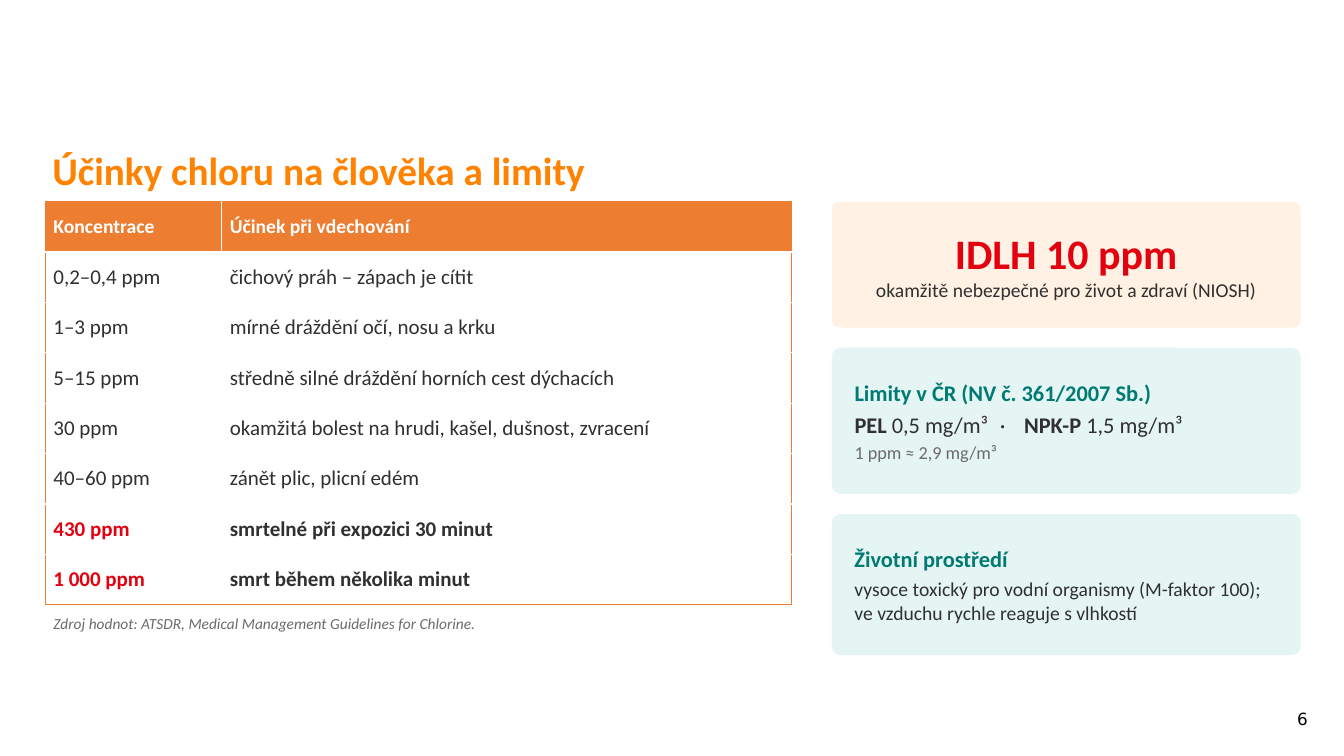
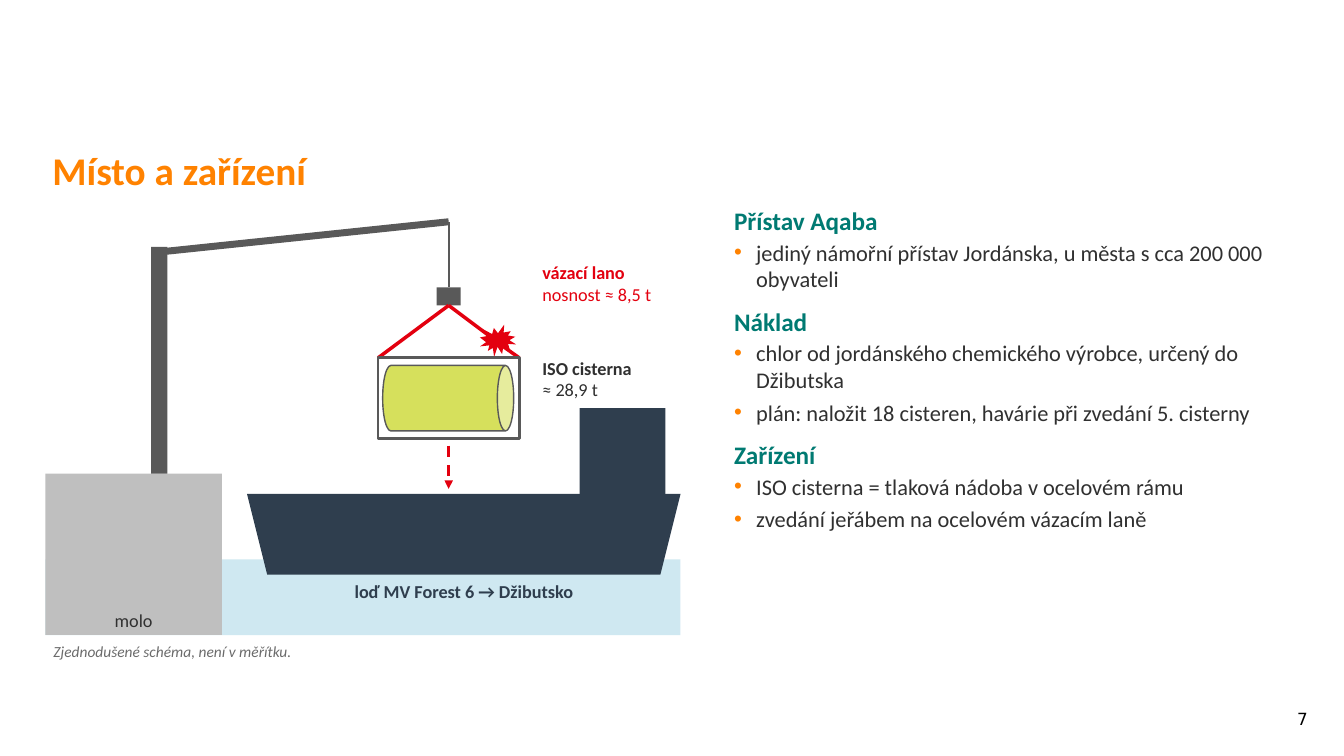
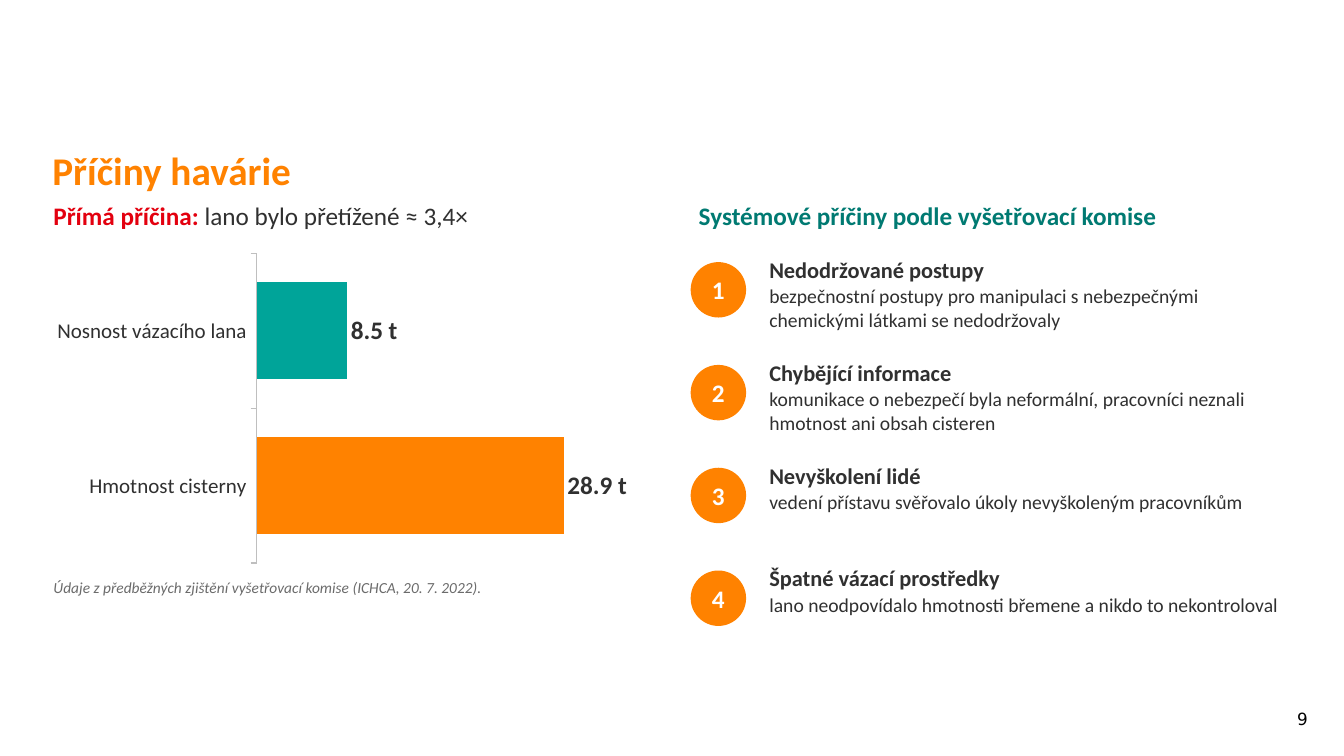
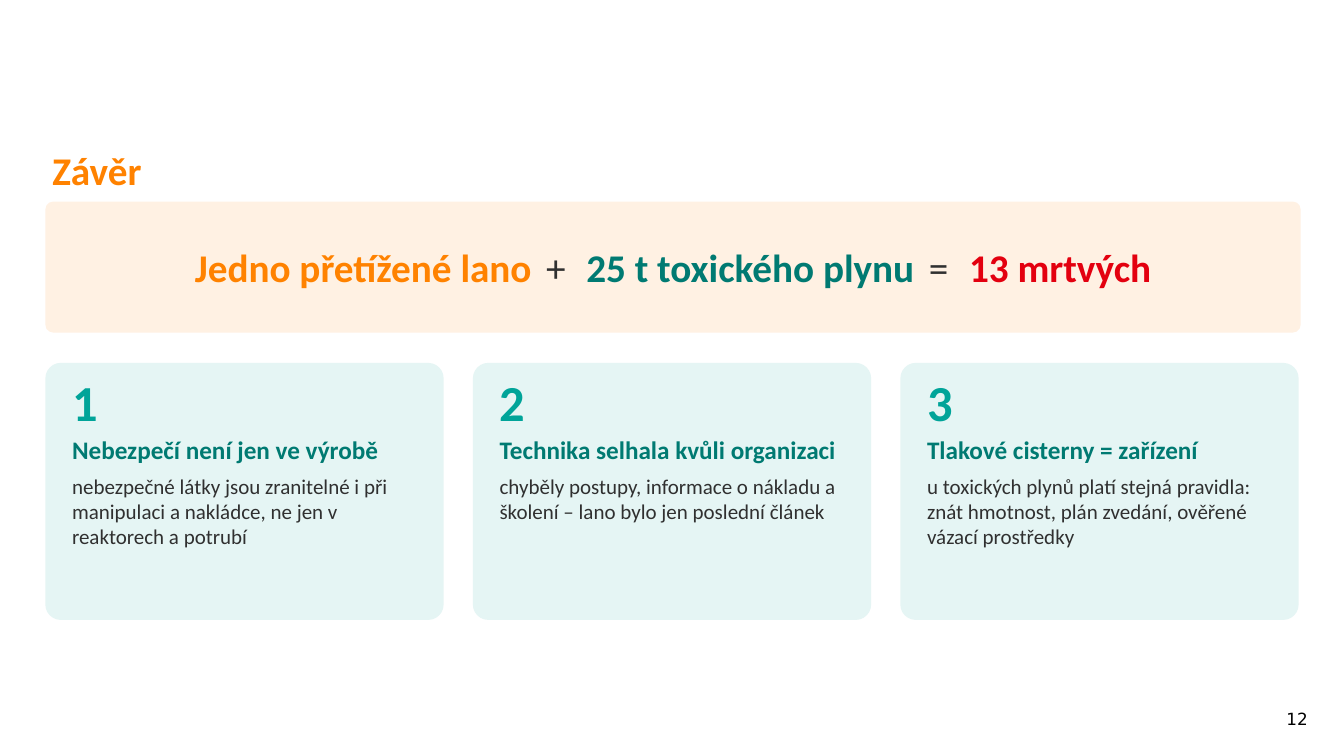
"""Build four slides on the chlorine accident in the port of Aqaba."""
from dataclasses import dataclass
from typing import NamedTuple, Optional, Sequence

from lxml import etree
from pptx import Presentation, util as u
from pptx.chart import data
from pptx.dml.color import RGBColor
from pptx.enum import chart as charts, dml, shapes, text
from pptx.oxml.ns import qn

ORANGE = RGBColor(0xFF, 0x82, 0x00)
HEADER = RGBColor(0xED, 0x7D, 0x31)
RED = RGBColor(0xE3, 0x00, 0x0F)
TEAL = RGBColor(0x00, 0x7A, 0x72)
BRIGHT_TEAL = RGBColor(0x00, 0xA4, 0x99)
INK = RGBColor(0x30, 0x30, 0x30)
MUTED = RGBColor(0x6B, 0x6B, 0x6B)
STEEL = RGBColor(0x59, 0x59, 0x59)
SILVER = RGBColor(0xBF, 0xBF, 0xBF)
NAVY = RGBColor(0x2F, 0x3E, 0x4E)
WATER = RGBColor(0xCF, 0xE8, 0xF1)
GAS = RGBColor(0xD6, 0xE0, 0x5C)
PEACH = RGBColor(0xFF, 0xF1, 0xE3)
MINT = RGBColor(0xE5, 0xF5, 0xF4)
WHITE = RGBColor(0xFF, 0xFF, 0xFF)
BLACK = RGBColor(0x00, 0x00, 0x00)

FONT = "Calibri"
LEFT = 0.45
CARD_RADIUS = 0.06
Shape = shapes.MSO_SHAPE
Align = text.PP_ALIGN
Anchor = text.MSO_ANCHOR


class Area(NamedTuple):
    """Place and size in inches."""

    left: float
    top: float
    width: float
    height: float

    def lengths(self) -> list:
        """Return the four values as lengths."""
        return [u.Inches(value) for value in self]


@dataclass(frozen=True)
class Span:
    """A run that may differ from its paragraph."""

    text: str
    color: Optional[RGBColor] = None
    bold: Optional[bool] = None
    spacing: int = 0


@dataclass(frozen=True)
class Para:
    """A paragraph with its format."""

    content: str | Sequence[Span]
    size: float
    color: RGBColor = INK
    bold: bool = False
    italic: bool = False
    after: float = 0
    align: Align = Align.LEFT
    bullet: bool = False
    font: str = FONT
    line_spacing: float = 1.0


class Insets(NamedTuple):
    """Inner margins in inches."""

    side: float = 0.08
    edge: float = 0.04


class Cause(NamedTuple):
    """A numbered cause."""

    heading: str
    detail: str


def write(frame, paras: Sequence[Para]) -> None:
    """Write formatted paragraphs into a text frame."""
    for index, para in enumerate(paras):
        target = frame.add_paragraph() if index else frame.paragraphs[0]
        target.alignment = para.align
        target.line_spacing = para.line_spacing
        target.space_before = u.Pt(0)
        target.space_after = u.Pt(para.after)
        properties = target._p.get_or_add_pPr()
        indent = u.Inches(0.22) if para.bullet else 0
        properties.set("marL", str(indent))
        properties.set("indent", str(-indent))
        if para.bullet:
            color = etree.SubElement(properties, qn("a:buClr"))
            etree.SubElement(color, qn("a:srgbClr"), val=str(ORANGE))
            etree.SubElement(properties, qn("a:buChar"), char="•")
        else:
            etree.SubElement(properties, qn("a:buNone"))
        font = target.font
        font.name, font.size = para.font, u.Pt(para.size)
        font.bold, font.italic = para.bold, para.italic
        font.color.rgb = para.color
        spans = [Span(para.content)] if isinstance(para.content, str) else para.content
        for span in spans:
            run = target.add_run()
            run.text = span.text
            if span.color is not None:
                run.font.color.rgb = span.color
            if span.bold is not None:
                run.font.bold = span.bold
            if span.spacing:
                run._r.get_or_add_rPr().set("spc", str(span.spacing))


def set_frame(frame, anchor: Anchor, insets: Insets) -> None:
    """Set wrapping, anchor and margins of a text frame."""
    frame.word_wrap = True
    frame.vertical_anchor = anchor
    frame.margin_left = frame.margin_right = u.Inches(insets.side)
    frame.margin_top = frame.margin_bottom = u.Inches(insets.edge)


def add_text(page, area: Area, paras: Sequence[Para], insets: Insets = Insets()) -> None:
    """Add a text box."""
    frame = page.shapes.add_textbox(*area.lengths()).text_frame
    set_frame(frame, Anchor.TOP, insets)
    write(frame, paras)


def add_note(page, area: Area, content: str) -> None:
    """Add a small source note."""
    add_text(page, area, [Para(content, 11, MUTED, italic=True, after=4)])


def add_box(page, kind: Shape, area: Area, fill: Optional[RGBColor] = None,
            paras: Sequence[Para] = (), anchor: Anchor = Anchor.MIDDLE,
            insets: Insets = Insets(), outline: Optional[RGBColor] = None,
            weight: float = 1, rotation: float = 0):
    """Add a preset shape, with text if given."""
    box = page.shapes.add_shape(kind, *area.lengths())
    box.shadow.inherit = False
    box.rotation = rotation
    if fill is None:
        box.fill.background()
    else:
        box.fill.solid()
        box.fill.fore_color.rgb = fill
    if outline is None:
        box.line.fill.background()
    else:
        box.line.color.rgb = outline
        box.line.width = u.Pt(weight)
    if kind == Shape.ROUNDED_RECTANGLE:
        box.adjustments[0] = CARD_RADIUS
    if paras:
        set_frame(box.text_frame, anchor, insets)
        write(box.text_frame, paras)
    return box


def add_line(page, start: tuple[float, float], end: tuple[float, float],
             color: RGBColor, weight: float, arrow: bool = False):
    """Add a straight line, or a dashed arrow."""
    points = [u.Inches(value) for value in (*start, *end)]
    line = page.shapes.add_connector(shapes.MSO_CONNECTOR.STRAIGHT, *points)
    line.line.color.rgb = color
    line.line.width = u.Pt(weight)
    if arrow:
        line.line.dash_style = dml.MSO_LINE.DASH
        etree.SubElement(line.line._get_or_add_ln(), qn("a:tailEnd"), type="triangle")
    etree.SubElement(line._element.spPr, qn("a:effectLst"))
    return line


def add_page(deck, number: int, title: str, layout: int = 5):
    """Add a slide with its title and page number."""
    page = deck.slides.add_slide(deck.slide_layouts[layout])
    holder = page.shapes.title
    holder.left, holder.top, holder.width, holder.height = Area(0.42, 1.32, 12.47, 0.65).lengths()
    set_frame(holder.text_frame, Anchor.BOTTOM, Insets(0.1, 0.05))
    holder.text_frame.auto_size = text.MSO_AUTO_SIZE.NONE
    write(holder.text_frame, [Para(title, 28, ORANGE, bold=True, line_spacing=0.9)])
    add_text(page, Area(10.9, 6.98, 2.17, 0.52),
             [Para(str(number), 12, BLACK, align=Align.RIGHT, font="DejaVu Sans")],
             Insets(0.1, 0.05))
    return page


def add_border(cell, sides: str) -> None:
    """Draw thin borders on the named sides of a cell."""
    properties = cell._tc.get_or_add_tcPr()
    for side in sides:
        line = etree.SubElement(properties, qn(f"a:ln{side}"), w=str(u.Pt(0.5)))
        fill = etree.SubElement(line, qn("a:solidFill"))
        etree.SubElement(fill, qn("a:srgbClr"), val=str(HEADER))


def add_effects_table(page) -> None:
    """Add the table of concentrations and effects."""
    rows = [
        ("Koncentrace", "Účinek při vdechování"),
        ("0,2–0,4 ppm", "čichový práh – zápach je cítit"),
        ("1–3 ppm", "mírné dráždění očí, nosu a krku"),
        ("5–15 ppm", "středně silné dráždění horních cest dýchacích"),
        ("30 ppm", "okamžitá bolest na hrudi, kašel, dušnost, zvracení"),
        ("40–60 ppm", "zánět plic, plicní edém"),
        ("430 ppm", "smrtelné při expozici 30 minut"),
        ("1 000 ppm", "smrt během několika minut"),
    ]
    first_deadly, last = 6, len(rows) - 1
    area = Area(LEFT, 2, 7.4, 0.5 * len(rows))
    table = page.shapes.add_table(len(rows), 2, *area.lengths()).table
    table.horz_banding = False
    for column, width in zip(table.columns, (1.75, 5.65)):
        column.width = u.Inches(width)
    for row, values in enumerate(rows):
        for column, value in enumerate(values):
            cell = table.cell(row, column)
            sides = "LR"[column] + ("T" if row == 0 else "B" if row == last else "")
            add_border(cell, sides)
            cell.fill.solid()
            cell.fill.fore_color.rgb = WHITE if row else HEADER
            cell.vertical_anchor = Anchor.MIDDLE
            cell.margin_left = cell.margin_right = u.Inches(0.08)
            cell.margin_top = cell.margin_bottom = u.Inches(0.03)
            deadly = row >= first_deadly
            color = RED if deadly and column == 0 else INK
            para = Para(value, 15, color, deadly) if row else Para(value, 14, WHITE, True)
            write(cell.text_frame, [para])


def build_effects(deck) -> None:
    """Build the slide on effects and limits."""
    page = add_page(deck, 6, "Účinky chloru na člověka a limity")
    add_effects_table(page)
    add_note(page, Area(LEFT, 6.05, 7.4, 0.4),
             "Zdroj hodnot: ATSDR, Medical Management Guidelines for Chlorine.")
    left, width, wide = 8.25, 4.65, Insets(0.2)
    add_box(page, Shape.ROUNDED_RECTANGLE, Area(left, 2, width, 1.25), PEACH, [
        Para("IDLH 10 ppm", 30, RED, bold=True, align=Align.CENTER),
        Para("okamžitě nebezpečné pro život a zdraví (NIOSH)", 14, align=Align.CENTER),
    ])
    add_box(page, Shape.ROUNDED_RECTANGLE, Area(left, 3.45, width, 1.45), MINT, [
        Para("Limity v ČR (NV č. 361/2007 Sb.)", 16, TEAL, bold=True, after=4),
        Para([Span("PEL ", bold=True), Span("0,5 mg/m³"), Span(" · ", spacing=480),
              Span("NPK-P ", bold=True), Span("1,5 mg/m³")], 16, after=2),
        Para("1 ppm ≈ 2,9 mg/m³", 13, MUTED),
    ], insets=wide)
    add_box(page, Shape.ROUNDED_RECTANGLE, Area(left, 5.1, width, 1.4), MINT, [
        Para("Životní prostředí", 16, TEAL, bold=True, after=4),
        Para("vysoce toxický pro vodní organismy (M-faktor 100); "
             "ve vzduchu rychle reaguje s vlhkostí", 14),
    ], insets=wide)


def draw_harbour(page) -> None:
    """Draw the pier, ship, crane and falling tank."""
    add_box(page, Shape.RECTANGLE, Area(LEFT, 5.55, 6.3, 0.75), WATER)
    add_box(page, Shape.RECTANGLE, Area(LEFT, 4.7, 1.75, 1.6), SILVER,
            [Para("molo", 13, after=2, align=Align.CENTER)], Anchor.BOTTOM)
    add_box(page, Shape.TRAPEZOID, Area(2.45, 4.9, 4.3, 0.8), NAVY, rotation=180)
    add_box(page, Shape.RECTANGLE, Area(5.75, 4.05, 0.85, 0.85), NAVY)
    add_text(page, Area(2.6, 5.72, 4, 0.4),
             [Para("loď MV Forest 6 → Džibutsko", 13, NAVY, True, after=4, align=Align.CENTER)])

    add_box(page, Shape.RECTANGLE, Area(1.5, 2.45, 0.16, 2.25), STEEL)
    boom_tip, hook_top, hook_bottom = (4.45, 2.2), (4.45, 2.85), (4.45, 3.03)
    add_line(page, (1.58, 2.5), boom_tip, STEEL, 5)
    hook = add_box(page, Shape.RECTANGLE, Area(4.33, 2.85, 0.24, 0.18), STEEL)
    add_line(page, boom_tip, hook_top, STEEL, 1.5).end_connect(hook, 0)
    for end in ((3.75, 3.55), (4.85, 3.33)):
        add_line(page, hook_bottom, end, RED, 2.5).begin_connect(hook, 2)
    add_line(page, (4.98, 3.43), (5.15, 3.55), RED, 2.5)
    add_box(page, Shape.EXPLOSION1, Area(4.76, 3.22, 0.36, 0.32), RED)

    add_box(page, Shape.RECTANGLE, Area(3.75, 3.55, 1.4, 0.8), outline=STEEL, weight=2)
    add_box(page, Shape.CAN, Area(4.12, 3.3, 0.65, 1.3), GAS, outline=STEEL, rotation=90)
    add_line(page, (4.45, 4.42), (4.45, 4.85), RED, 2, arrow=True)
    for area, name, value, color in (
        (Area(5.3, 2.55, 1.6, 0.85), "vázací lano", "nosnost ≈ 8,5 t", RED),
        (Area(5.3, 3.5, 1.6, 0.6), "ISO cisterna", "≈ 28,9 t", INK),
    ):
        add_text(page, area, [Para(name, 13, color, bold=True), Para(value, 13, color, after=4)])
    add_note(page, Area(LEFT, 6.33, 6.3, 0.3), "Zjednodušené schéma, není v měřítku.")


def build_place(deck) -> None:
    """Build the slide on the place and equipment."""
    page = add_page(deck, 7, "Místo a zařízení", layout=1)
    draw_harbour(page)
    sections = {
        "Přístav Aqaba": ["jediný námořní přístav Jordánska, u města s cca 200 000 obyvateli"],
        "Náklad": ["chlor od jordánského chemického výrobce, určený do Džibutska",
                   "plán: naložit 18 cisteren, havárie při zvedání 5. cisterny"],
        "Zařízení": ["ISO cisterna = tlaková nádoba v ocelovém rámu",
                     "zvedání jeřábem na ocelovém vázacím laně"],
    }
    final = list(sections)[-1]
    paras = []
    for heading, items in sections.items():
        paras.append(Para(heading, 18, TEAL, bold=True, after=2))
        for item in items:
            closing = item == items[-1] and heading != final
            paras.append(Para(item, 16, after=10 if closing else 4, bullet=True))
    body = page.placeholders[1]
    body.left, body.top, body.width, body.height = Area(7.2, 2, 5.7, 4.6).lengths()
    set_frame(body.text_frame, Anchor.TOP, Insets())
    body.text_frame.auto_size = text.MSO_AUTO_SIZE.NONE
    write(body.text_frame, paras)


def add_load_chart(page) -> None:
    """Add the bar chart of rope capacity and tank weight."""
    values = data.CategoryChartData()
    values.categories = ["Hmotnost cisterny", "Nosnost vázacího lana"]
    values.add_series("Hmotnost", (28.9, 8.5))
    chart = page.shapes.add_chart(charts.XL_CHART_TYPE.BAR_CLUSTERED,
                                  *Area(LEFT, 2.45, 5.9, 3.2).lengths(), values).chart
    chart.has_legend = False
    chart.has_title = False
    chart.font.name, chart.font.size = FONT, u.Pt(14)
    chart.font.color.rgb = INK
    amounts = chart.value_axis
    amounts.minimum_scale, amounts.maximum_scale = 0, 35
    amounts.has_major_gridlines = False
    amounts.visible = False
    names = chart.category_axis
    names.major_tick_mark = charts.XL_TICK_MARK.OUTSIDE
    names.tick_labels.font.size = u.Pt(15)
    names.format.line.color.rgb = SILVER
    names.format.line.width = u.Pt(0.75)
    plot = chart.plots[0]
    plot.gap_width = 60
    plot.vary_by_categories = False
    for index, color in enumerate((ORANGE, BRIGHT_TEAL)):
        fill = plot.series[0].points[index].format.fill
        fill.solid()
        fill.fore_color.rgb = color
    labels = plot.series[0].data_labels
    labels.show_value = True
    labels.position = charts.XL_LABEL_POSITION.OUTSIDE_END
    labels.number_format = '0.0" t"'
    labels.number_format_is_linked = False
    labels.font.size, labels.font.bold = u.Pt(18), True
    labels.font.color.rgb = INK


def build_causes(deck) -> None:
    """Build the slide on the causes."""
    page = add_page(deck, 9, "Příčiny havárie")
    add_load_chart(page)
    add_text(page, Area(LEFT, 1.95, 5.9, 0.5), [
        Para([Span("Přímá příčina: ", RED, True), Span("lano bylo přetížené ≈ 3,4×")], 18, after=4)])
    add_note(page, Area(LEFT, 5.7, 5.9, 0.9),
             "Údaje z předběžných zjištění vyšetřovací komise (ICHCA, 20. 7. 2022).")
    add_text(page, Area(6.85, 1.95, 6.05, 0.5), [
        Para("Systémové příčiny podle vyšetřovací komise", 18, TEAL, bold=True, after=4)])
    causes = [
        Cause("Nedodržované postupy",
              "bezpečnostní postupy pro manipulaci s nebezpečnými chemickými látkami se nedodržovaly"),
        Cause("Chybějící informace",
              "komunikace o nebezpečí byla neformální, pracovníci neznali hmotnost ani obsah cisteren"),
        Cause("Nevyškolení lidé", "vedení přístavu svěřovalo úkoly nevyškoleným pracovníkům"),
        Cause("Špatné vázací prostředky",
              "lano neodpovídalo hmotnosti břemene a nikdo to nekontroloval"),
    ]
    for index, cause in enumerate(causes):
        top = 2.5 + 1.02 * index
        add_box(page, Shape.OVAL, Area(6.85, top + 0.1, 0.55, 0.55), ORANGE,
                [Para(str(index + 1), 18, WHITE, bold=True, align=Align.CENTER)],
                insets=Insets(0))
        add_text(page, Area(7.55, top, 5.35, 0.95), [
            Para(cause.heading, 16, bold=True, after=1), Para(cause.detail, 14, after=4)])


def build_conclusion(deck) -> None:
    """Build the closing slide."""
    page = add_page(deck, 12, "Závěr")
    add_box(page, Shape.ROUNDED_RECTANGLE, Area(LEFT, 2, 12.45, 1.3), PEACH, [
        Para([Span("Jedno přetížené lano", ORANGE, True), Span(" + ", spacing=420),
              Span("25 t toxického plynu", TEAL, True), Span(" = ", spacing=420),
              Span("13 mrtvých", RED, True)], 28, align=Align.CENTER)])
    lessons = [
        Cause("Nebezpečí není jen ve výrobě",
              "nebezpečné látky jsou zranitelné i při manipulaci a nakládce, "
              "ne jen v reaktorech a potrubí"),
        Cause("Technika selhala kvůli organizaci",
              "chyběly postupy, informace o nákladu a školení – lano bylo jen poslední článek"),
        Cause("Tlakové cisterny = zařízení",
              "u toxických plynů platí stejná pravidla: znát hmotnost, plán zvedání, "
              "ověřené vázací prostředky"),
    ]
    width, gap = 3.95, 0.29
    for index, lesson in enumerate(lessons):
        area = Area(LEFT + index * (width + gap), 3.6, width, 2.55)
        add_box(page, Shape.ROUNDED_RECTANGLE, area, MINT, [
            Para(str(index + 1), 36, BRIGHT_TEAL, bold=True, after=2),
            Para(lesson.heading, 18, TEAL, bold=True, after=6),
            Para(lesson.detail, 15),
        ], Anchor.TOP, Insets(0.22))


def main() -> None:
    """Build and save the deck."""
    deck = Presentation()
    deck.slide_width, deck.slide_height = u.Inches(13.33), u.Inches(7.5)
    for build in (build_effects, build_place, build_causes, build_conclusion):
        build(deck)
    deck.save("out.pptx")


if __name__ == "__main__":
    main()
